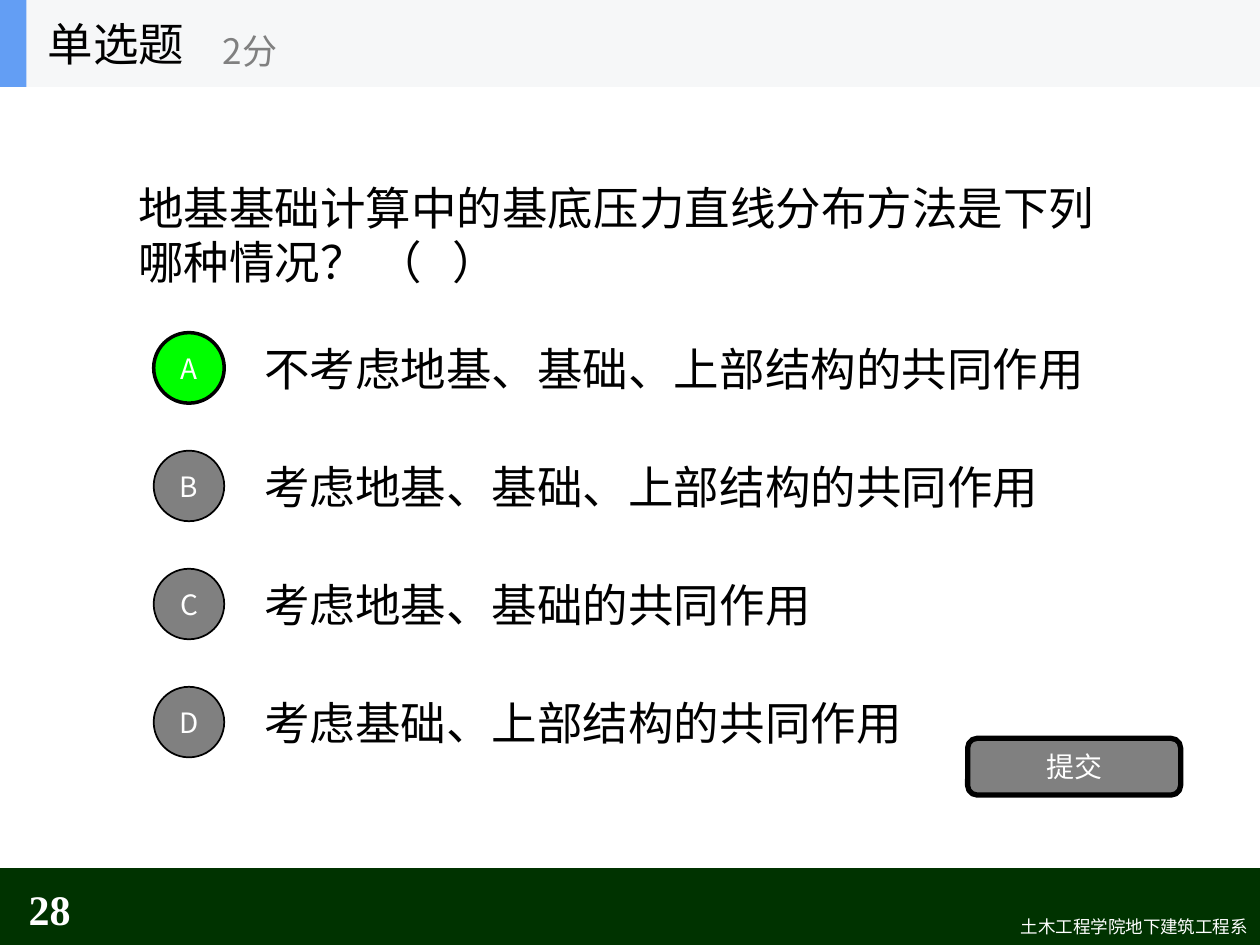
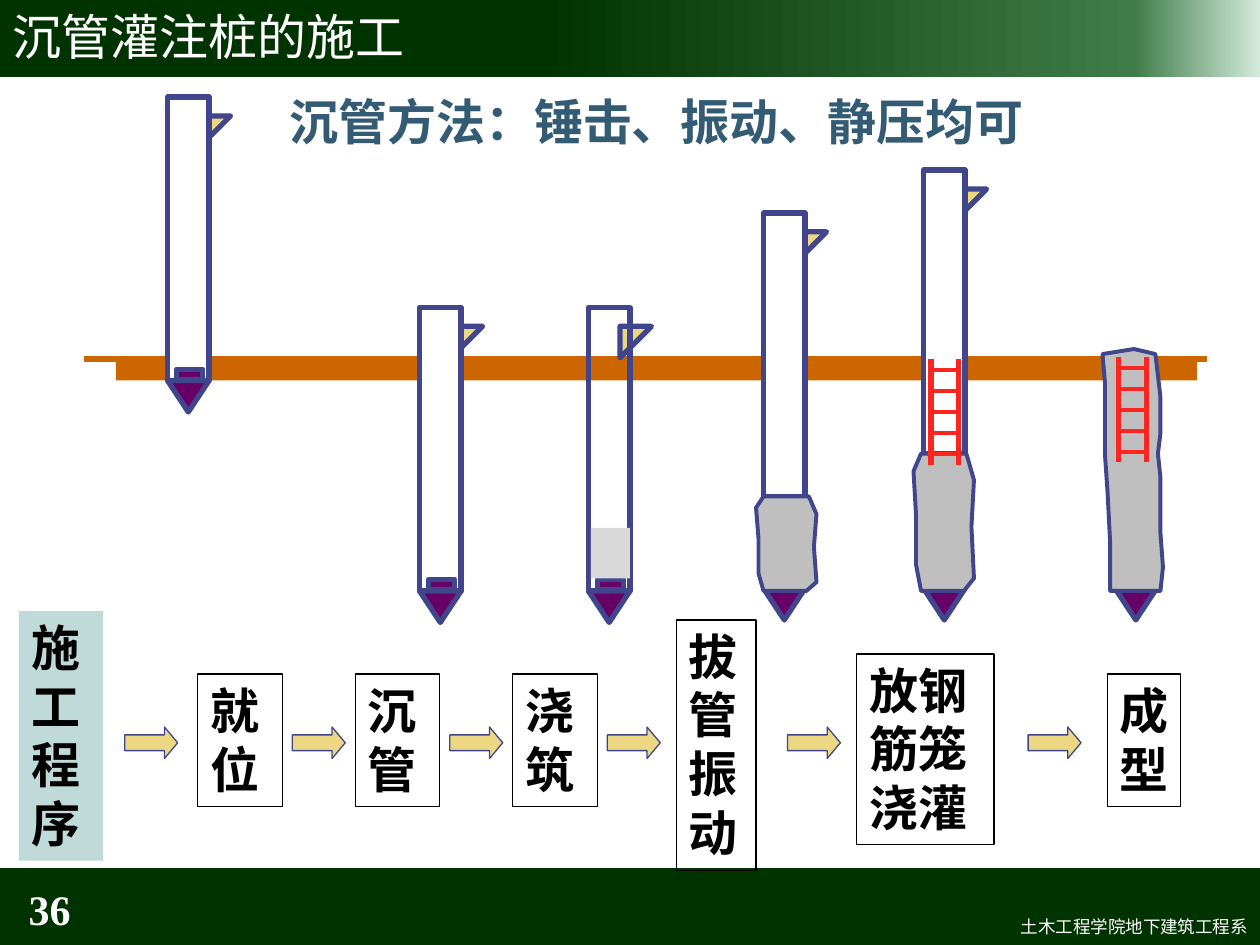
import copy

import lxml.etree
import pptx
import pptx.dml.color
import pptx.enum.shapes
import pptx.enum.text
import pptx.oxml.ns
import pptx.shapes.connector
import pptx.util

Inches, Pt = pptx.util.Inches, pptx.util.Pt
color = pptx.dml.color.RGBColor.from_string
qn = pptx.oxml.ns.qn
SHAPE = pptx.enum.shapes.MSO_SHAPE
STRAIGHT = pptx.enum.shapes.MSO_CONNECTOR.STRAIGHT
ALIGN = pptx.enum.text.PP_ALIGN
ANCHOR = pptx.enum.text.MSO_ANCHOR

CJK, LATIN = "Noto Sans CJK SC", "Arial"
BLACK, WHITE, GREY = "000000", "FFFFFF", "808080"
DARK_GREEN, STEEL, SAND = "003300", "40458C", "ECD882"
PLUM, CONCRETE, CAGE_RED, SOIL = "660066", "BFBFBF", "FE2520", "CC6600"


def paint(item, fill=None, line=None, width=1):
    """Set fill and outline, and switch the shadow off."""
    if isinstance(item, pptx.shapes.connector.Connector):
        item.line.color.rgb = color(line)
        item.line.width = Pt(width)
        lxml.etree.SubElement(item._element.spPr, qn("a:effectLst"))
        return item
    item.shadow.inherit = False
    if fill:
        item.fill.solid()
        item.fill.fore_color.rgb = color(fill)
    else:
        item.fill.background()
    if line:
        item.line.color.rgb = color(line)
        item.line.width = Pt(width)
    else:
        item.line.fill.background()
    return item


def write(item, text, size, ink, font=CJK, bold=False, align=ALIGN.LEFT, anchor=ANCHOR.MIDDLE):
    """Put one formatted paragraph into a shape and return it."""
    frame = item.text_frame
    frame.word_wrap = True
    frame.auto_size = pptx.enum.text.MSO_AUTO_SIZE.NONE
    frame.vertical_anchor = anchor
    paragraph = frame.paragraphs[0]
    paragraph.text = text
    paragraph.alignment = align
    if anchor == ANCHOR.TOP:
        paragraph.line_spacing = Pt(round(1.2 * size, 1))
    paragraph.font.size = Pt(size)
    paragraph.font.bold = bold
    paragraph.font.color.rgb = color(ink)
    paragraph.font.name = font
    # Chinese characters take the East Asian typeface
    defaults = paragraph._p.pPr.find(qn("a:defRPr"))
    lxml.etree.SubElement(defaults, qn("a:ea")).set("typeface", CJK)
    return paragraph


deck = pptx.Presentation()
deck.slide_width, deck.slide_height = Inches(10), Inches(7.5)
layout = deck.slide_layouts[5]
quiz = deck.slides.add_slide(layout)
piling = deck.slides.add_slide(layout)

# Shared bands and department line, moved into the layout
top_band = paint(quiz.shapes.add_shape(
    SHAPE.RECTANGLE, 0, Inches(-0.03), Inches(10), Inches(0.64)))
top_band.fill.gradient()
top_band.fill.gradient_angle = 0
stop_list = top_band._element.spPr.find(".//" + qn("a:gsLst"))
stop_list.append(copy.deepcopy(stop_list[-1]))
band_stops = [(0.43, DARK_GREEN), (0.9, "3F7C49"), (1, "D4EBDB")]
for stop, (position, tone) in zip(top_band.fill.gradient_stops, band_stops):
    stop.position = position
    stop.color.rgb = color(tone)

bottom_band = paint(quiz.shapes.add_shape(
    SHAPE.RECTANGLE, 0, Inches(6.89), Inches(10), Inches(0.64)), DARK_GREEN)
department = quiz.shapes.add_textbox(Inches(4.21), Inches(7.22), Inches(5.79), Inches(0.27))
write(department, "土木工程学院地下建筑工程系", 10, WHITE, align=ALIGN.RIGHT, anchor=ANCHOR.TOP)
for shared in (top_band, bottom_band, department):
    layout.shapes._spTree.append(shared._element)

# Page numbers
for slide, number in ((quiz, "28"), (piling, "36")):
    page = slide.shapes.add_textbox(0, Inches(7.01), Inches(0.66), Inches(0.4))
    write(page, number, 24, WHITE, "Times New Roman", True, ALIGN.RIGHT)

# Quiz: header strip
for width, tone in ((10, "F6F7F8"), (0.21, "639EF4")):
    paint(quiz.shapes.add_shape(SHAPE.RECTANGLE, 0, 0, Inches(width), Inches(0.69)), tone)
heading = quiz.shapes.title
quiz.shapes._spTree.append(heading._element)
heading.left, heading.top = Inches(0.28), 0
heading.width, heading.height = Inches(2.08), Inches(0.69)
write(heading, "单选题", 26, BLACK)
score = quiz.shapes.add_textbox(Inches(1.67), Inches(0.12), Inches(2.5), Inches(0.56))
write(score, "2分", 20, GREY)

# Quiz: question and options
question = quiz.shapes.add_textbox(Inches(1), Inches(0.69), Inches(8), Inches(2.34))
asked = write(question, "地基基础计算中的基底压力直线分布方法是下列哪种情况？ （   ）", 26, BLACK)
asked.line_spacing = Pt(31)
options = [
    "不考虑地基、基础、上部结构的共同作用",
    "考虑地基、基础、上部结构的共同作用",
    "考虑地基、基础的共同作用",
    "考虑基础、上部结构的共同作用",
]
for row, (letter, option) in enumerate(zip("ABCD", options)):
    top = 2.57 + row * 0.937
    answer = quiz.shapes.add_textbox(Inches(2), Inches(top), Inches(7), Inches(0.7))
    write(answer, option, 26, BLACK)
    correct = letter == "A"
    badge = paint(quiz.shapes.add_shape(
        SHAPE.OVAL, Inches(1.22), Inches(top + 0.07), Inches(0.56), Inches(0.56)),
        "00FF00" if correct else GREY, BLACK, 2 if correct else 1)
    write(badge, letter, 16, WHITE, align=ALIGN.CENTER)
submit = paint(quiz.shapes.add_shape(
    SHAPE.ROUNDED_RECTANGLE, Inches(7.68), Inches(5.86), Inches(1.69), Inches(0.45)),
    GREY, BLACK, 3)
write(submit, "提交", 16, WHITE, align=ALIGN.CENTER)

# Piling: title and method
title = piling.shapes.title
title.left, title.top, title.width, title.height = 0, Inches(-0.03), Inches(10), Inches(0.63)
write(title, "沉管灌注桩的施工", 28, WHITE)
method = piling.shapes.add_textbox(Inches(2.15), Inches(0.68), Inches(6.12), Inches(0.58))
write(method, "沉管方法：锤击、振动、静压均可", 28, "335B74", LATIN, True,
      ALIGN.CENTER, ANCHOR.TOP)

# Piling: ground
paint(piling.shapes.add_shape(
    SHAPE.RECTANGLE, Inches(0.92), Inches(2.85), Inches(8.58), Inches(0.17)), SOIL)
paint(piling.shapes.add_connector(
    STRAIGHT, Inches(0.67), Inches(2.85), Inches(9.58), Inches(2.85)), line=SOIL, width=3)

# Piling: each stage as left edge, tube top, tube fill, tip top, concrete outline
stages = [
    (1.33, 0.77, WHITE, 3.02, []),
    (3.33, 2.44, WHITE, 4.69, []),
    (4.67, 2.44, None, 4.69, []),
    (6.06, 1.69, WHITE, 4.67, [
        (6.06, 3.94), (6, 4.03), (6.02, 4.27), (6.02, 4.55), (6.06, 4.69),
        (6.4, 4.69), (6.48, 4.62), (6.46, 4.34), (6.48, 4.08), (6.42, 3.94)]),
    (7.33, 1.35, WHITE, 4.67, [
        (7.31, 3.6), (7.25, 3.74), (7.27, 4.08), (7.27, 4.48), (7.31, 4.69),
        (7.65, 4.69), (7.73, 4.59), (7.71, 4.18), (7.73, 3.81), (7.67, 3.6)]),
    (8.85, None, None, 4.67, [
        (8.75, 2.81), (8.77, 3.04), (8.77, 3.61), (8.79, 3.9), (8.81, 4.29),
        (8.81, 4.69), (9.21, 4.69), (9.23, 4.5), (9.21, 4.23), (9.21, 3.79),
        (9.19, 3.6), (9.21, 3.44), (9.21, 3.15), (9.17, 2.81), (9, 2.77)]),
]
for left, tube_top, tube_fill, tip_top, outline in stages:
    parts = []
    if tube_top is not None:
        parts = [
            (SHAPE.RIGHT_TRIANGLE, left + 0.25, tube_top + 0.15, 0.25, 0.25, SAND, 90),
            (SHAPE.RECTANGLE, left, tube_top, 0.33, 2.25, tube_fill, 0),
        ]
    parts += [
        (SHAPE.FLOWCHART_MERGE, left, tip_top, 0.33, 0.25, PLUM, 0),
        (SHAPE.RECTANGLE, left + 0.07, tip_top - 0.09, 0.21, 0.08, PLUM, 0),
    ]
    for kind, x, y, width, height, fill, turn in parts:
        part = paint(piling.shapes.add_shape(
            kind, Inches(x), Inches(y), Inches(width), Inches(height)), fill, STEEL, 3)
        part.rotation = turn
    if outline:
        corners = [(Inches(x), Inches(y)) for x, y in outline]
        builder = piling.shapes.build_freeform(*corners[0])
        builder.add_line_segments(corners[1:], close=True)
        paint(builder.convert_to_shape(), CONCRETE, STEEL, 2.25)

# Piling: first concrete poured into the third tube
paint(piling.shapes.add_shape(
    SHAPE.RECTANGLE, Inches(4.69), Inches(4.19), Inches(0.31), Inches(0.4)), "D9D9D9")

# Piling: reinforcement cages
for left, top in ((7.39, 2.85), (8.88, 2.83)):
    bars = [(x, top, x, top + 0.84, 3) for x in (left, left + 0.22)]
    for rung in range(5):
        y = top + 0.09 + rung * 0.166
        bars.append((left - 0.01, y, left + 0.21, y, 2.25))
    for x1, y1, x2, y2, weight in bars:
        paint(piling.shapes.add_connector(
            STRAIGHT, Inches(x1), Inches(y1), Inches(x2), Inches(y2)),
            line=CAGE_RED, width=weight)

# Piling: procedure steps and the arrows between them
steps = [
    ("施工程序", 0.15, 4.85, 0.67, 1.98),
    ("就位", 1.57, 5.35, 0.67, 1.05),
    ("沉管", 2.82, 5.35, 0.67, 1.05),
    ("浇筑", 4.07, 5.35, 0.67, 1.05),
    ("拔管振动", 5.37, 4.92, 0.63, 1.99),
    ("放钢筋笼浇灌", 6.8, 5.19, 1.09, 1.51),
    ("成型", 8.79, 5.35, 0.58, 1.05),
]
for index, (name, *box) in enumerate(steps):
    step = piling.shapes.add_shape(SHAPE.RECTANGLE, *map(Inches, box))
    if index == 0:
        paint(step, "C0DAD9")
    else:
        paint(step, line=BLACK, width=0.75)
    write(step, name, 28, BLACK, LATIN, True, anchor=ANCHOR.TOP)
for left in (0.99, 2.32, 3.57, 4.82, 6.25, 8.16):
    arrow = paint(piling.shapes.add_shape(
        SHAPE.RIGHT_ARROW, Inches(left), Inches(5.77), Inches(0.42), Inches(0.25)),
        SAND, STEEL, 0.75)
    arrow.adjustments[1] = 0.42

deck.save("out.pptx")
